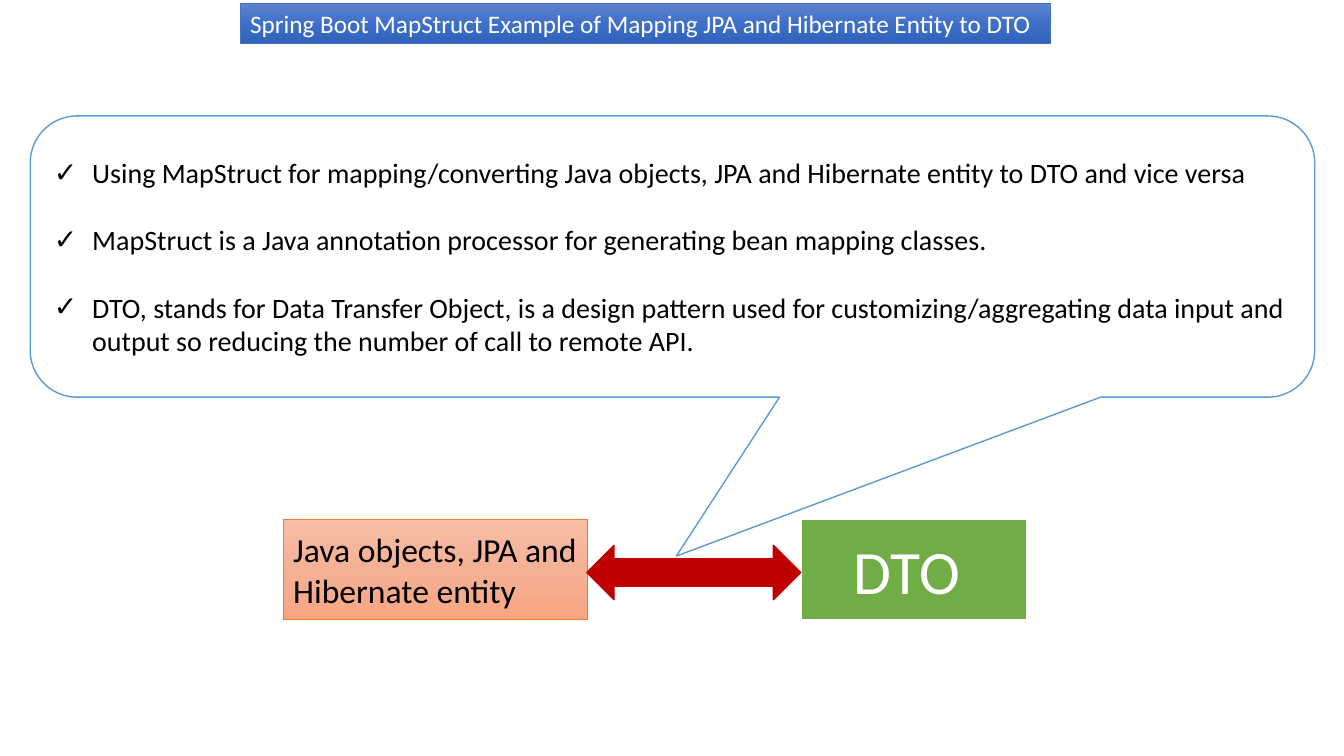
from copy import deepcopy

from pptx import Presentation
from pptx.dml.color import RGBColor
from pptx.enum import shapes, text
from pptx.oxml.ns import qn
from pptx.util import Inches, Pt
from lxml import etree

FONT = "Calibri"
WHITE = RGBColor(0xFF, 0xFF, 0xFF)
BLACK = RGBColor(0, 0, 0)
BLUE = RGBColor(0x44, 0x72, 0xC4)
ORANGE = RGBColor(0xED, 0x7D, 0x31)
GREEN = RGBColor(0x70, 0xAD, 0x47)
RED = RGBColor(0xC0, 0, 0)
SKY = RGBColor(0x5B, 0x9B, 0xD5)
BLUE_SHADES = [RGBColor(0x61, 0x83, 0xCB), RGBColor(0x3E, 0x70, 0xCA), RGBColor(0x30, 0x62, 0xBB)]
ORANGE_SHADES = [RGBColor(0xF7, 0xBD, 0xA5), RGBColor(0xF5, 0xB1, 0x96), RGBColor(0xF8, 0xA5, 0x82)]

TITLE = "Spring Boot MapStruct Example of Mapping JPA and Hibernate Entity to DTO"
POINTS = [
    "Using MapStruct for mapping/converting Java objects, JPA and Hibernate entity to DTO and vice versa",
    "MapStruct is a Java annotation processor for generating bean mapping classes.",
    "DTO, stands for Data Transfer Object, is a design pattern used for customizing/aggregating "
    "data input and output so reducing the number of call to remote API.",
]


def place(sp, left, top, width, height):
    sp.left, sp.top = Inches(left), Inches(top)
    sp.width, sp.height = Inches(width), Inches(height)


def set_line(sp, color, width):
    sp.line.color.rgb = color
    sp.line.width = Pt(width)


def set_gradient(sp, shades):
    """Fill from top to bottom with three evenly spaced shades."""
    sp.fill.gradient()
    sp.fill.gradient_angle = 270
    first = sp._element.spPr.find(".//" + qn("a:gs"))
    first.addnext(deepcopy(first))
    for i, (stop, shade) in enumerate(zip(sp.fill.gradient_stops, shades)):
        stop.position = i / 2
        stop.color.rgb = shade


def format_text(sp, size, color, align=text.PP_ALIGN.LEFT):
    sp.text_frame.vertical_anchor = text.MSO_ANCHOR.MIDDLE
    for p in sp.text_frame.paragraphs:
        p.alignment = align
        for r in p.runs:
            r.font.name = FONT
            r.font.size = Pt(size)
            r.font.color.rgb = color


def add_shape(slide, kind, box, fill, line, line_width):
    """Add a preset shape; fill is one colour or a list of three shades."""
    sp = slide.shapes.add_shape(kind, *map(Inches, box))
    sp.shadow.inherit = False
    if isinstance(fill, list):
        set_gradient(sp, fill)
    else:
        sp.fill.solid()
        sp.fill.fore_color.rgb = fill
    set_line(sp, line, line_width)
    sp.text_frame.word_wrap = True
    return sp


def add_title(slide):
    sp = slide.shapes.title
    place(sp, 2.38, 0.03, 8.04, 0.4)
    set_gradient(sp, BLUE_SHADES)
    set_line(sp, BLUE, 0.5)
    tf = sp.text_frame
    tf.text = TITLE
    tf.word_wrap = False
    tf.auto_size = text.MSO_AUTO_SIZE.NONE
    format_text(sp, 18, WHITE)


def add_check_bullet(p):
    pPr = p._p.get_or_add_pPr()
    pPr.set("marL", str(Inches(0.38)))
    pPr.set("indent", str(-Inches(0.38)))
    etree.SubElement(pPr, qn("a:buFont")).set("typeface", FONT)
    etree.SubElement(pPr, qn("a:buChar")).set("char", "✓")


def add_callout(slide):
    sp = add_shape(slide, shapes.MSO_SHAPE.ROUNDED_RECTANGULAR_CALLOUT,
                   (0.3, 1.15, 12.74, 2.79), WHITE, SKY, 1)
    for i, value in enumerate((0.003, 1.065, 0.167)):
        sp.adjustments[i] = value
    tf = sp.text_frame
    tf.text = "\n".join(POINTS)
    for i, p in enumerate(tf.paragraphs):
        add_check_bullet(p)
        if i:
            p.space_before = Pt(24)
    format_text(sp, 20, BLACK)


def main():
    prs = Presentation()
    prs.slide_width, prs.slide_height = Inches(13.33), Inches(7.5)
    slide = prs.slides.add_slide(prs.slide_layouts[5])
    add_title(slide)

    rect = shapes.MSO_SHAPE.RECTANGLE
    entity = add_shape(slide, rect, (2.81, 5.15, 3.02, 1), ORANGE_SHADES, ORANGE, 0.5)
    entity.text_frame.text = "Java objects, JPA and Hibernate entity"
    format_text(entity, 24, BLACK)

    dto = add_shape(slide, rect, (7.94, 5.15, 2.25, 1), GREEN, WHITE, 1.5)
    dto.text_frame.text = "DTO"
    dto.text_frame.margin_right = Inches(0.24)
    format_text(dto, 44, WHITE, text.PP_ALIGN.CENTER)

    add_shape(slide, shapes.MSO_SHAPE.LEFT_RIGHT_ARROW, (5.82, 5.41, 2.12, 0.54), RED, RED, 1)
    add_callout(slide)
    prs.save("out.pptx")


if __name__ == "__main__":
    main()
